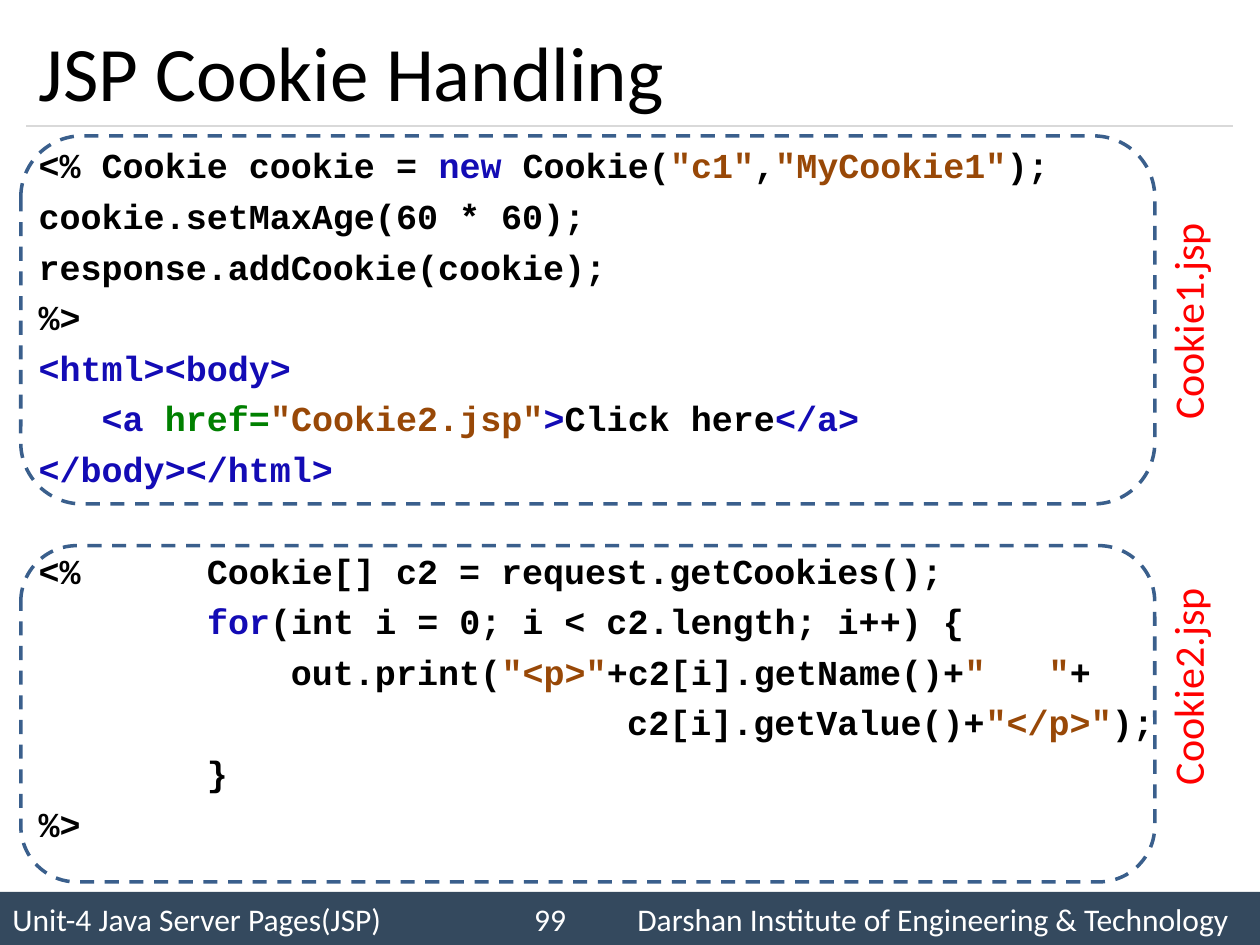
"""Build the JSP cookie handling slide with two framed code listings."""
from lxml.etree import SubElement
from pptx import Presentation
from pptx.dml.color import RGBColor
from pptx.enum.dml import MSO_LINE
from pptx.enum.shapes import MSO_CONNECTOR, MSO_SHAPE
from pptx.enum.text import MSO_ANCHOR, PP_ALIGN
from pptx.oxml.ns import qn
from pptx.util import Cm, Pt

BLACK = RGBColor(0x00, 0x00, 0x00)
WHITE = RGBColor(0xFF, 0xFF, 0xFF)
RED = RGBColor(0xFF, 0x00, 0x00)
KEYWORD = RGBColor(0x13, 0x0B, 0xB5)
ATTRIBUTE = RGBColor(0x00, 0x80, 0x00)
STRING = RGBColor(0x98, 0x48, 0x07)
SLATE = RGBColor(0x34, 0x49, 0x5E)
RULE = RGBColor(0xD9, 0xD9, 0xD9)
FRAME = RGBColor(0x3A, 0x5F, 0x8C)

COOKIE1_CODE = [
    [("<% Cookie cookie = ", BLACK), ("new ", KEYWORD), ("Cookie(", BLACK),
     ('"c1"', STRING), (",", BLACK), ('"MyCookie1"', STRING), (");", BLACK)],
    [("cookie.setMaxAge(60 * 60);", BLACK)],
    [("response.addCookie(cookie);", BLACK)],
    [("%>", BLACK)],
    [("<html><body>", KEYWORD)],
    [("   <a ", KEYWORD), ("href=", ATTRIBUTE), ('"Cookie2.jsp"', STRING),
     (">", KEYWORD), ("Click here", BLACK), ("</a>", KEYWORD)],
    [("</body></html>", KEYWORD)],
]
COOKIE2_CODE = [
    [("<%      Cookie[] c2 = request.getCookies();", BLACK)],
    [("        ", BLACK), ("for", KEYWORD),
     ("(int i = 0; i < c2.length; i++) {", BLACK)],
    [("            out.print(", BLACK), ('"<p>"', STRING),
     ("+c2[i].getName()+", BLACK), ('"   "', STRING), ("+", BLACK)],
    [("                            c2[i].getValue()+", BLACK),
     ('"</p>"', STRING), (");", BLACK)],
    [("        }", BLACK)],
    [("%>", BLACK)],
]
LISTINGS = [
    ("Cookie1.jsp", COOKIE1_CODE, 2.74, 7.42, 2.74, 5.82),
    ("Cookie2.jsp", COOKIE2_CODE, 11.0, 6.78, 10.91, 13.18),
]
FOOTER = [
    ("Unit-4 Java Server Pages(JSP)", 0, 9, PP_ALIGN.LEFT),
    ("99", 9.96, 1.7, PP_ALIGN.RIGHT),
    ("Darshan Institute of Engineering & Technology", 12, 13.02, PP_ALIGN.RIGHT),
]
LEFT, WIDTH = 0.53, 24.33
FOOTER_TOP, FOOTER_HEIGHT = 17.98, 1.07


def style(font, size, color, name="Calibri", bold=False):
    font.size, font.name, font.bold = Pt(size), name, bold
    font.color.rgb = color


def add_label(page, text, place, size, color, align=PP_ALIGN.LEFT):
    box = page.shapes.add_textbox(*map(Cm, place))
    frame = box.text_frame
    frame.word_wrap = True
    frame.vertical_anchor = MSO_ANCHOR.MIDDLE
    frame.text = text
    para = frame.paragraphs[0]
    para.alignment = align
    style(para.runs[0].font, size, color)
    return box


def add_code(page, lines, top, height):
    frame = page.shapes.add_textbox(Cm(LEFT), Cm(top), Cm(WIDTH), Cm(height)).text_frame
    frame.word_wrap = True
    for index, line in enumerate(lines):
        para = frame.add_paragraph() if index else frame.paragraphs[0]
        para.line_spacing = 1.04
        para.space_before = Pt(4 if index else 0)
        for text, color in line:
            span = para.add_run()
            span.text = text
            style(span.font, 20, color, "Courier New", True)


def add_frame(page, top, height):
    frame = page.shapes.add_shape(
        MSO_SHAPE.ROUNDED_RECTANGLE, Cm(0.42), Cm(top), Cm(22.86), Cm(height))
    frame.shadow.inherit = False
    frame.fill.background()
    frame.line.color.rgb = FRAME
    frame.line.width = Pt(2)
    frame.line.dash_style = MSO_LINE.DASH


def add_footer(page, width):
    bar = page.shapes.add_shape(
        MSO_SHAPE.RECTANGLE, 0, Cm(FOOTER_TOP), width, Cm(FOOTER_HEIGHT))
    bar.shadow.inherit = False
    bar.fill.solid()
    bar.fill.fore_color.rgb = SLATE
    bar.line.fill.background()
    for text, left, span_width, align in FOOTER:
        add_label(page, text, (left, FOOTER_TOP, span_width, FOOTER_HEIGHT), 18, WHITE, align)


def main():
    deck = Presentation()
    deck.slide_width, deck.slide_height = Cm(25.4), Cm(19.05)
    page = deck.slides.add_slide(deck.slide_layouts[6])
    add_footer(page, deck.slide_width)
    rule = page.shapes.add_connector(
        MSO_CONNECTOR.STRAIGHT, Cm(LEFT), Cm(2.54), Cm(LEFT + WIDTH), Cm(2.54))
    rule.line.color.rgb = RULE
    rule.line.width = Pt(0.75)
    SubElement(rule._element.spPr, qn("a:effectLst"))
    add_label(page, "JSP Cookie Handling", (LEFT, 0.3, WIDTH, 2.24), 44, BLACK)
    for name, code, frame_top, frame_height, code_top, label_top in LISTINGS:
        add_code(page, code, code_top, frame_height - 0.3)
        add_frame(page, frame_top, frame_height)
        label = add_label(page, name, (21.67, label_top, 4.52, 1.27), 24, RED)
        label.text_frame.word_wrap = False
        label.rotation = 270
    deck.save("out.pptx")


if __name__ == "__main__":
    main()
